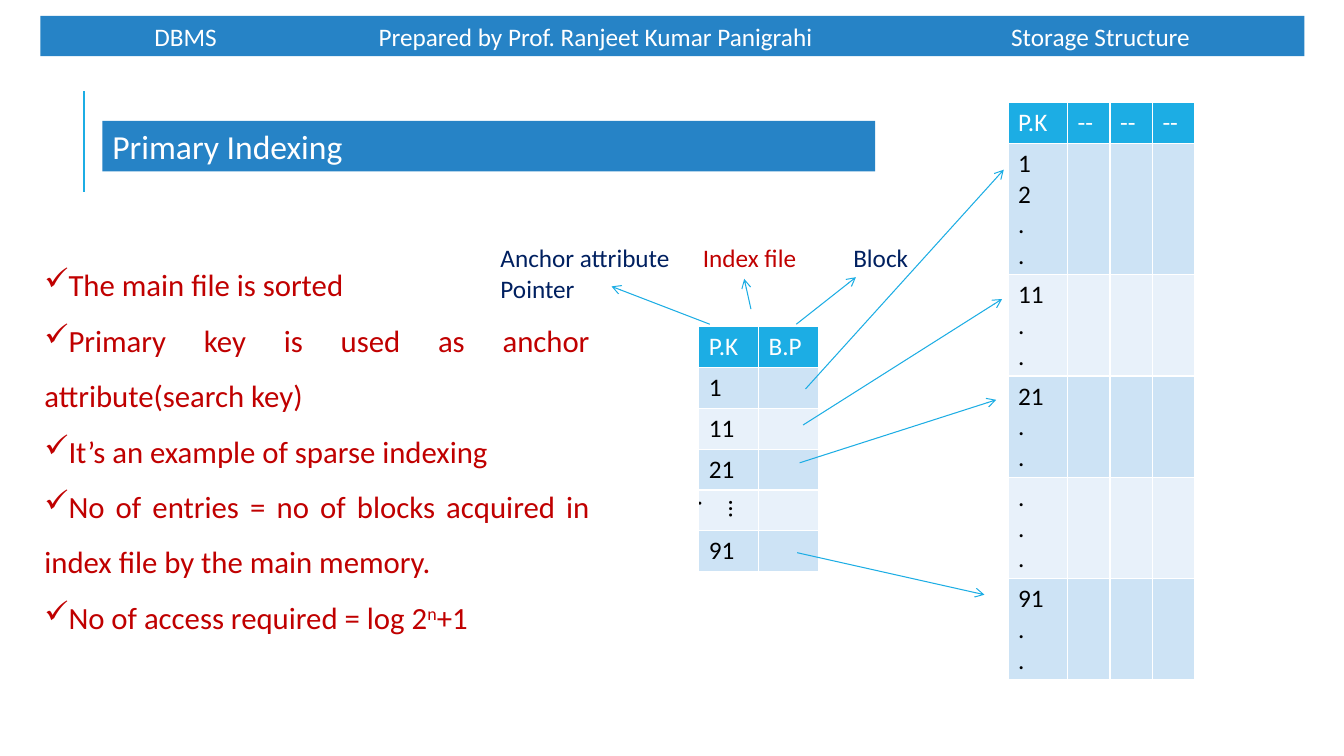
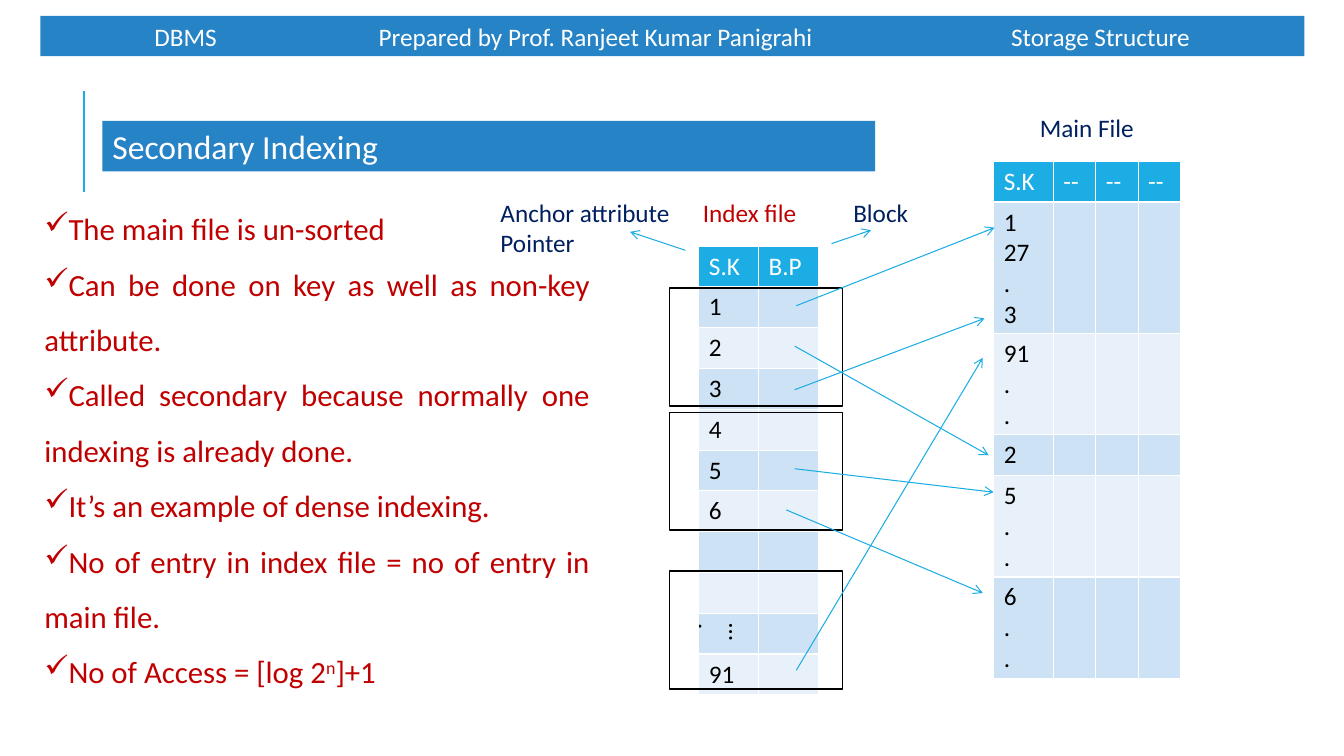
from lxml import etree
from pptx import Presentation
from pptx.dml.color import RGBColor
from pptx.enum.shapes import MSO_CONNECTOR, MSO_SHAPE
from pptx.enum.text import PP_ALIGN
from pptx.oxml.ns import qn
from pptx.util import Inches, Pt

RECTANGLE = MSO_SHAPE.RECTANGLE
STRAIGHT = MSO_CONNECTOR.STRAIGHT
LEFT, JUSTIFY = PP_ALIGN.LEFT, PP_ALIGN.JUSTIFY

BLUE = RGBColor(0x26, 0x83, 0xC6)
CYAN = RGBColor(0x1C, 0xAD, 0xE4)
NAVY = RGBColor(0x00, 0x20, 0x60)
RED = RGBColor(0xC0, 0x00, 0x00)
WHITE = RGBColor(0xFF, 0xFF, 0xFF)
BLACK = RGBColor(0x00, 0x00, 0x00)
BAND_DARK = RGBColor(0xCD, 0xE3, 0xF5)
BAND_LIGHT = RGBColor(0xE8, 0xF1, 0xFA)

COLUMNS, ROWS = 160, 90
WIDTH, HEIGHT = Inches(13.33), Inches(7.5)
KEY_WIDTH, FIELD_WIDTH = 7.1, 5.05
INDEX_LEFT = 83.2
ELLIPSIS = "…."


class Deck:
    """Holds the lecture style and the slide being filled, on a 160 by 90 grid."""

    def __init__(self):
        self.presentation = Presentation()
        self.presentation.slide_width = WIDTH
        self.presentation.slide_height = HEIGHT
        self.slide = None

    def x(self, columns):
        return round(WIDTH * columns / COLUMNS)

    def y(self, rows):
        return round(HEIGHT * rows / ROWS)

    def area(self, left, top, width, height):
        return self.x(left), self.y(top), self.x(width), self.y(height)

    def style(self, paragraph, size, color=None):
        font = paragraph.font
        font.name, font.size, font.bold = "Calibri", Pt(size), False
        if color is not None:
            font.color.rgb = color

    def set_tabs(self, paragraph, stops):
        properties = paragraph._p.get_or_add_pPr()
        tab_list = etree.SubElement(properties, qn("a:tabLst"))
        for stop in stops:
            etree.SubElement(tab_list, qn("a:tab"), pos=str(self.x(stop)), algn="l")

    def start(self, title):
        self.slide = self.presentation.slides.add_slide(
            self.presentation.slide_layouts[6])
        self.line(10, 22.8, 10, 10.8, weight=1.5)
        self.band((4.8, 1.9, 150.5, 4.8),
                  "\tDBMS\tPrepared by Prof. Ranjeet Kumar Panigrahi\tStorage Structure",
                  18, tabs=(12.4, 39.1, 114.4))
        self.band((12.2, 14.4, 92, 6), title, 24)

    def box(self, area):
        shape = self.slide.shapes.add_shape(RECTANGLE, *self.area(*area))
        shape.shadow.inherit = False
        return shape

    def band(self, area, text, size, tabs=()):
        band = self.box(area)
        band.fill.solid()
        band.fill.fore_color.rgb = BLUE
        band.line.fill.background()
        paragraph = band.text_frame.paragraphs[0]
        paragraph.text = text
        paragraph.alignment = LEFT
        if tabs:
            self.set_tabs(paragraph, tabs)
        self.style(paragraph, size, WHITE)

    def frame(self, area):
        frame = self.box(area)
        frame.fill.background()
        frame.line.color.rgb = BLACK
        frame.line.width = Pt(1.25)

    def text(self, area):
        frame = self.slide.shapes.add_textbox(*self.area(*area)).text_frame
        frame.word_wrap = True
        return frame

    def caption(self, area, text):
        paragraph = self.text(area).paragraphs[0]
        paragraph.text = text
        self.style(paragraph, 18, NAVY)

    def index_labels(self, top):
        paragraph = self.text((58.4, top, 58.8, 4.8)).paragraphs[0]
        self.set_tabs(paragraph, (24.1, 42))
        self.style(paragraph, 18)
        for label, color in (("Anchor attribute\t", NAVY), ("Index file\t", RED),
                             ("Block Pointer", NAVY)):
            run = paragraph.add_run()
            run.text = label
            run.font.color.rgb = color

    def checklist(self, top, height, points):
        """Writes ticked points; text between carets is raised."""
        frame = self.text((4.1, top, 67.3, height))
        for number, point in enumerate(points):
            paragraph = frame.add_paragraph() if number else frame.paragraphs[0]
            properties = paragraph._p.get_or_add_pPr()
            properties.set("marL", "0")
            properties.set("indent", "0")
            etree.SubElement(properties, qn("a:buChar"), char="✓")
            paragraph.alignment = JUSTIFY
            paragraph.line_spacing = 1.5
            self.style(paragraph, 22, RED)
            for part, piece in enumerate(point.split("^")):
                run = paragraph.add_run()
                run.text = piece
                if part % 2:
                    run._r.get_or_add_rPr().set("baseline", "30000")

    def table(self, left, top, header, keys):
        """Draws a header and one banded row per key; other fields stay empty."""
        widths = [KEY_WIDTH] + [KEY_WIDTH if len(header) == 2 else FIELD_WIDTH] * (
            len(header) - 1)
        records = [header] + [[key] + [""] * (len(header) - 1) for key in keys]
        heights = [1.26 + 3.6 * (record[0].count("\n") + 1) for record in records]
        table = self.slide.shapes.add_table(
            len(records), len(header),
            *self.area(left, top, sum(widths), sum(heights))).table
        for column, width in zip(table.columns, widths):
            column.width = self.x(width)
        for number, (record, height) in enumerate(zip(records, heights)):
            table.rows[number].height = self.y(height)
            band = BAND_DARK if number % 2 else BAND_LIGHT
            for position, value in enumerate(record):
                cell = table.cell(number, position)
                cell.text = value
                cell.fill.solid()
                cell.fill.fore_color.rgb = band if number else CYAN
                if value == ELLIPSIS:
                    cell._tc.get_or_add_tcPr().set("vert", "vert")
                for paragraph in cell.text_frame.paragraphs:
                    self.style(paragraph, 18, BLACK if number else WHITE)

    def line(self, x1, y1, x2, y2, weight=0.75):
        line = self.slide.shapes.add_connector(
            STRAIGHT, self.x(x1), self.y(y1), self.x(x2), self.y(y2))
        line.line.color.rgb = CYAN
        line.line.width = Pt(weight)
        etree.SubElement(line._element.spPr, qn("a:effectLst"))
        return line

    def arrows(self, routes):
        for route in routes:
            outline = self.line(*route).line._get_or_add_ln()
            etree.SubElement(outline, qn("a:tailEnd"), type="arrow")


def primary_indexing(deck):
    deck.start("Primary Indexing")
    deck.checklist(28.9, 51.5, [
        "The main file is sorted",
        "Primary key is used as anchor attribute(search key)",
        "It’s an example of sparse indexing",
        "No of entries = no of blocks acquired in index file by the main memory.",
        "No of access required = log 2^n^+1",
    ])
    deck.table(INDEX_LEFT, 38.9, ["P.K", "B.P"], ["1", "11", "21", ELLIPSIS, "91"])
    deck.table(120, 12.2, ["P.K", "--", "--", "--"],
               ["1\n2\n.\n.", "11\n.\n.", "21\n.\n.", ".\n.\n.", "91\n.\n."])
    deck.index_labels(28.3)
    deck.arrows([
        (95.9, 46.3, 119.5, 20.2),
        (95.6, 50.6, 119.3, 35.6),
        (95.2, 55.1, 118.6, 47.6),
        (94.9, 65.8, 117.2, 70.8),
        (84.5, 38.6, 72.8, 34.1),
        (89.4, 36.8, 88.6, 33.2),
        (94.8, 38.6, 101.9, 33),
    ])


def secondary_indexing(deck):
    deck.start("Secondary Indexing")
    deck.checklist(22.2, 61.2, [
        "The main file is un-sorted",
        "Can be done on key as well as non-key attribute.",
        "Called secondary because normally one indexing is already done.",
        "It’s an example of dense indexing.",
        "No of entry in index file = no of entry in main file.",
        "No of Access = [log 2^n^]+1",
    ])
    deck.table(INDEX_LEFT, 29.3, ["S.K", "B.P"],
               ["1", "2", "3", "4", "5", "6", "", "", ELLIPSIS, "91"])
    deck.table(118.3, 19.2, ["S.K", "--", "--", "--"],
               ["1\n27\n.\n3", "91\n.\n.", "2", "5\n.\n.", "6\n.\n."])
    for block_top in (34.3, 49.1, 68):
        deck.frame((79.7, block_top, 20.6, 14))
    deck.caption((122.6, 12.8, 14, 4.8), "Main File")
    deck.index_labels(22.9)
    deck.arrows([
        (94.8, 36.4, 118.4, 27.1),
        (94.6, 41.2, 117.7, 54.2),
        (94.6, 46.4, 117.2, 37.9),
        (94.6, 55.8, 118.3, 58.6),
        (93.6, 60.7, 117, 70.6),
        (94.8, 79.8, 117, 42.6),
        (81.6, 29.8, 75, 27.6),
        (99, 29, 103.7, 27.4),
    ])


def main():
    deck = Deck()
    primary_indexing(deck)
    secondary_indexing(deck)
    deck.presentation.save("out.pptx")


if __name__ == "__main__":
    main()
